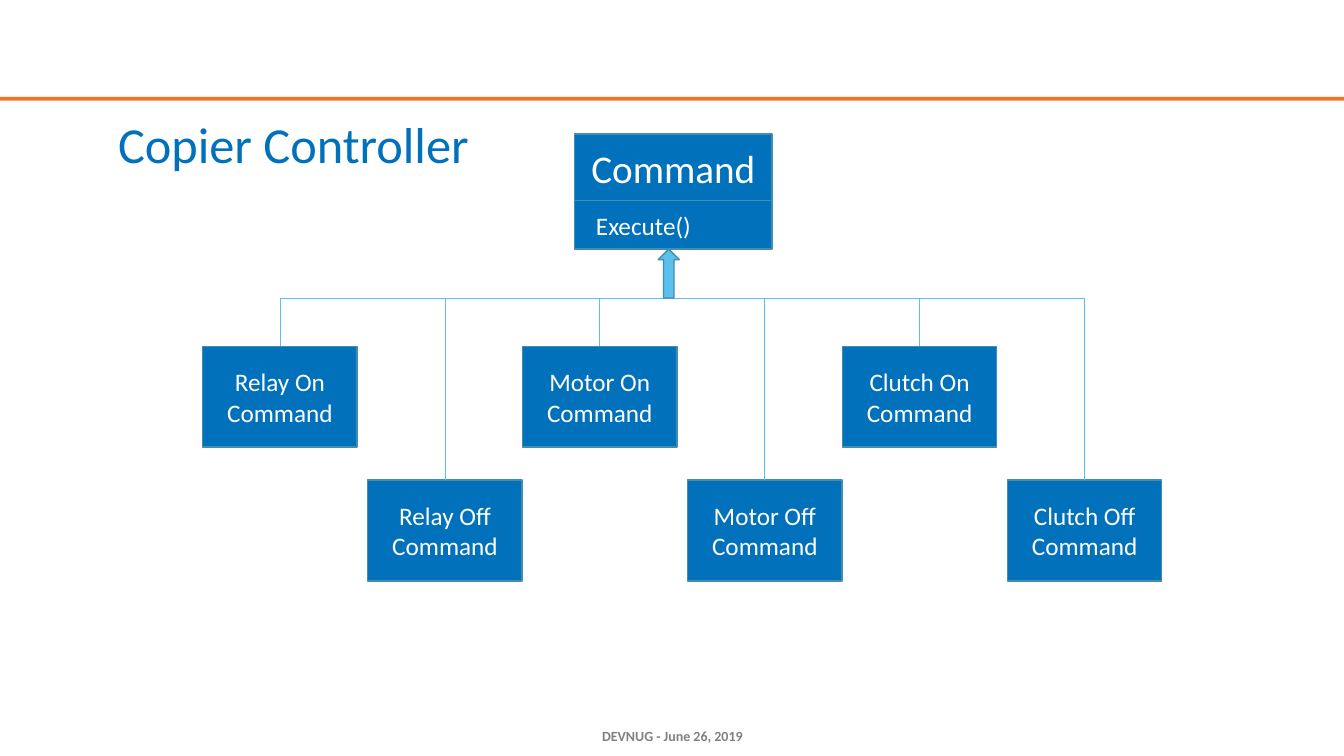
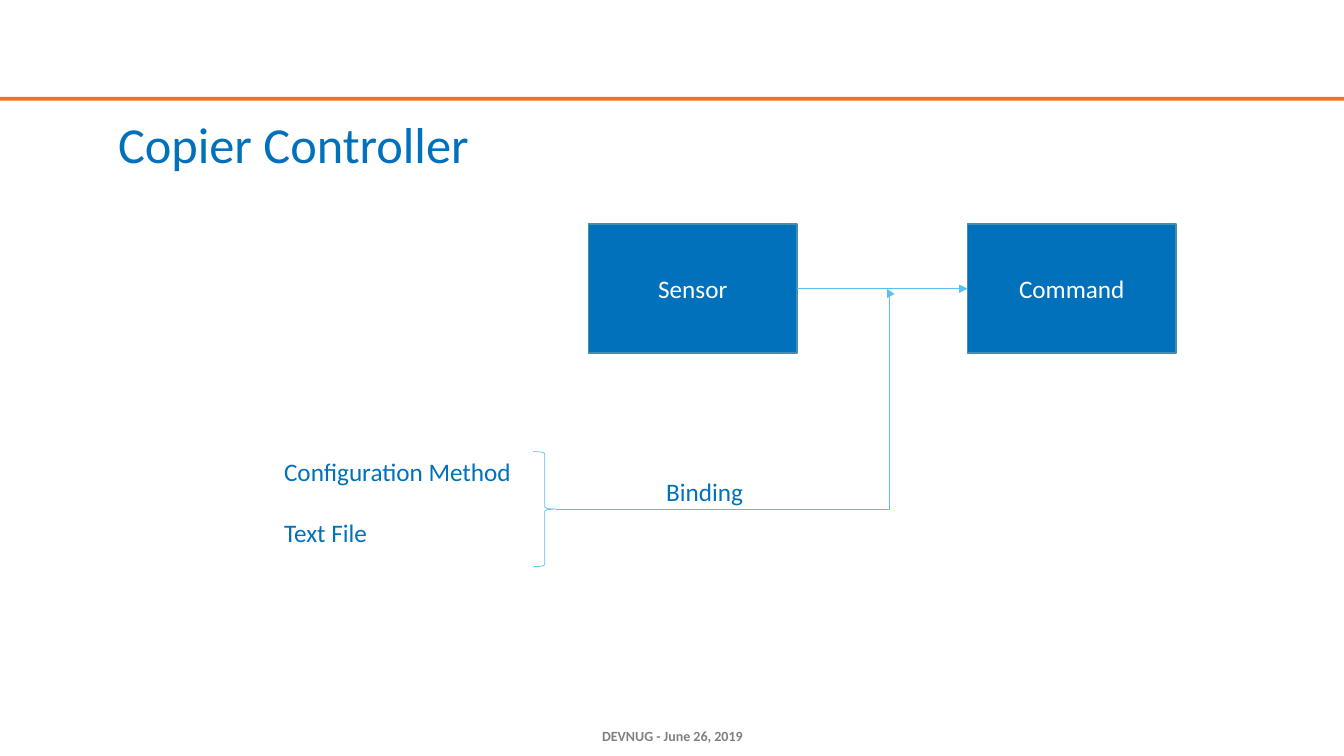
from dataclasses import dataclass
from typing import Optional

from lxml import etree
from pptx import Presentation
from pptx.dml.color import RGBColor
from pptx.enum.shapes import MSO_CONNECTOR, MSO_SHAPE
from pptx.enum.text import MSO_ANCHOR, MSO_AUTO_SIZE, PP_ALIGN
from pptx.oxml.ns import qn
from pptx.shapes.autoshape import Shape
from pptx.shapes.connector import Connector
from pptx.slide import Slide
from pptx.util import Cm, Pt

RECT, UP_ARROW, BRACE = MSO_SHAPE.RECTANGLE, MSO_SHAPE.UP_ARROW, MSO_SHAPE.RIGHT_BRACE
STRAIGHT, ELBOW = MSO_CONNECTOR.STRAIGHT, MSO_CONNECTOR.ELBOW
LEFT, CENTER = PP_ALIGN.LEFT, PP_ALIGN.CENTER
TOP, MIDDLE = MSO_ANCHOR.TOP, MSO_ANCHOR.MIDDLE
NO_FIT = MSO_AUTO_SIZE.NONE
TITLE_ONLY = 5


@dataclass(frozen=True)
class Theme:
    font: str = "Calibri"
    blue: RGBColor = RGBColor(0x00, 0x71, 0xBA)
    sky: RGBColor = RGBColor(0x5B, 0xC0, 0xEB)
    edge: RGBColor = RGBColor(0x43, 0x8E, 0xAE)
    orange: RGBColor = RGBColor(0xF3, 0x71, 0x20)
    gray: RGBColor = RGBColor(0x80, 0x80, 0x80)
    white: RGBColor = RGBColor(0xFF, 0xFF, 0xFF)
    title: int = 36
    heading: int = 28
    body: int = 18
    footer: int = 10
    edge_width: float = 1
    line_width: float = 0.5


@dataclass(frozen=True)
class Area:
    x: float
    y: float
    w: float
    h: float

    @property
    def mid_x(self) -> float:
        return self.x + self.w / 2

    @property
    def mid_y(self) -> float:
        return self.y + self.h / 2


@dataclass(frozen=True)
class Box:
    text: str
    area: Area
    size: int
    align: PP_ALIGN = CENTER
    indent: float = 0.25


@dataclass(frozen=True)
class Line:
    x1: float
    y1: float
    x2: float
    y2: float
    arrow: bool = False
    bend: Optional[int] = None


T = Theme()
WIDTH, HEIGHT = 33.87, 19.05
BAND = Area(0, 2.44, WIDTH, 0.1)
TITLE = Area(2.72, 2.72, 9.42, 1.8)
FOOTER = Area(11.23, 18.03, 11.43, 1.02)


def lengths(a: Area) -> tuple:
    return Cm(a.x), Cm(a.y), Cm(a.w), Cm(a.h)


def write(s: Shape, text: str, size: int, color: RGBColor, align: PP_ALIGN = LEFT,
          anchor: MSO_ANCHOR = TOP, wrap: bool = False, bold: bool = False,
          gap: float = 0) -> None:
    tf = s.text_frame
    tf.text = text
    tf.auto_size, tf.word_wrap, tf.vertical_anchor = NO_FIT, wrap, anchor
    for i, p in enumerate(tf.paragraphs):
        p.alignment = align
        p.space_before = Pt(gap if i else 0)
        p.font.name, p.font.size, p.font.bold = T.font, Pt(size), bold
        p.font.color.rgb = color


def add_text(sp: Slide, area: Area, text: str, size: int, color: RGBColor, **style) -> None:
    write(sp.shapes.add_textbox(*lengths(area)), text, size, color, **style)


def add_shape(sp: Slide, kind: MSO_SHAPE, area: Area, fill: Optional[RGBColor],
              line: Optional[RGBColor], width: float = T.edge_width) -> Shape:
    s = sp.shapes.add_shape(kind, *lengths(area))
    s.shadow.inherit = False
    if fill is None:
        s.fill.background()
    else:
        s.fill.solid()
        s.fill.fore_color.rgb = fill
    if line is None:
        s.line.fill.background()
    else:
        s.line.color.rgb = line
        s.line.width = Pt(width)
    return s


def add_box(sp: Slide, box: Box) -> Shape:
    s = add_shape(sp, RECT, box.area, T.blue, T.edge)
    write(s, box.text, box.size, T.white, box.align, MIDDLE, wrap=True)
    s.text_frame.margin_left = Cm(box.indent)
    return s


def add_line(sp: Slide, line: Line) -> Connector:
    kind = STRAIGHT if line.bend is None else ELBOW
    c = sp.shapes.add_connector(kind, Cm(line.x1), Cm(line.y1), Cm(line.x2), Cm(line.y2))
    c.line.color.rgb = T.sky
    c.line.width = Pt(T.line_width)
    if line.arrow:
        etree.SubElement(c.get_or_add_ln(), qn("a:tailEnd"), type="triangle")
    if line.bend is not None:
        guides = c.element.spPr.find(".//" + qn("a:avLst"))
        etree.SubElement(guides, qn("a:gd"), name="adj1", fmla=f"val {line.bend}")
    etree.SubElement(c.element.spPr, qn("a:effectLst"))
    return c


def add_slide(prs: Presentation, title: str) -> Slide:
    sp = prs.slides.add_slide(prs.slide_layouts[TITLE_ONLY])
    s = sp.shapes.title
    s.left, s.top, s.width, s.height = lengths(TITLE)
    write(s, title, T.title, T.blue)
    add_shape(sp, RECT, BAND, T.orange, None)
    add_text(sp, FOOTER, "DEVNUG - June 26, 2019", T.footer, T.gray,
             align=CENTER, anchor=MIDDLE, wrap=True, bold=True)
    return sp


def build_hierarchy(prs: Presentation) -> None:
    sp = add_slide(prs, "Copier Controller")
    base = Area(14.48, 3.38, 4.98, 1.68)
    method = Area(base.x, base.y + base.h, base.w, 1.22)
    add_box(sp, Box("Command", base, T.heading))
    add_box(sp, Box("Execute()", method, T.body, LEFT, 0.54))

    bus_y, first_x, step, shift = 7.51, 5.11, 8.06, 4.16
    rows = (("On", 0, 8.73), ("Off", shift, 12.1))
    children = [
        Box(f"{device} {state} Command", Area(first_x + i * step + dx, y, 3.89, 2.54), T.body)
        for i, device in enumerate(("Relay", "Motor", "Clutch"))
        for state, dx, y in rows
    ]
    for child in children:
        add_box(sp, child)
        add_line(sp, Line(child.area.mid_x, bus_y, child.area.mid_x, child.area.y))
    add_line(sp, Line(children[0].area.mid_x, bus_y, children[-1].area.mid_x, bus_y))
    arrow_y = method.y + method.h
    add_shape(sp, UP_ARROW, Area(16.59, arrow_y, 0.53, bus_y - arrow_y), T.sky, T.edge)


def build_binding(prs: Presentation) -> None:
    sp = add_slide(prs, "Copier Controller")
    source = Area(14.83, 5.65, 5.26, 3.25)
    target = Area(24.38, source.y, source.w, source.h)
    sensor = add_box(sp, Box("Sensor", source, T.body))
    command = add_box(sp, Box("Command", target, T.body))
    link = add_line(sp, Line(source.x + source.w, source.mid_y, target.x, target.mid_y, True))
    link.begin_connect(sensor, 3)
    link.end_connect(command, 1)

    brace = Area(13.44, 11.38, 0.58, 2.9)
    add_text(sp, Area(6.91, brace.y, 6.3, 2.57), "Configuration Method\nText File",
             T.body, T.blue, gap=22)
    add_shape(sp, BRACE, brace, None, T.sky, T.line_width)
    add_line(sp, Line(brace.x + brace.w, brace.mid_y, 22.35, source.mid_y, True, 100900))
    add_text(sp, Area(16.54, 11.89, 2.46, 1.02), "Binding", T.body, T.blue)


def main() -> None:
    prs = Presentation()
    prs.slide_width, prs.slide_height = Cm(WIDTH), Cm(HEIGHT)
    build_hierarchy(prs)
    build_binding(prs)
    prs.save("out.pptx")


main()
